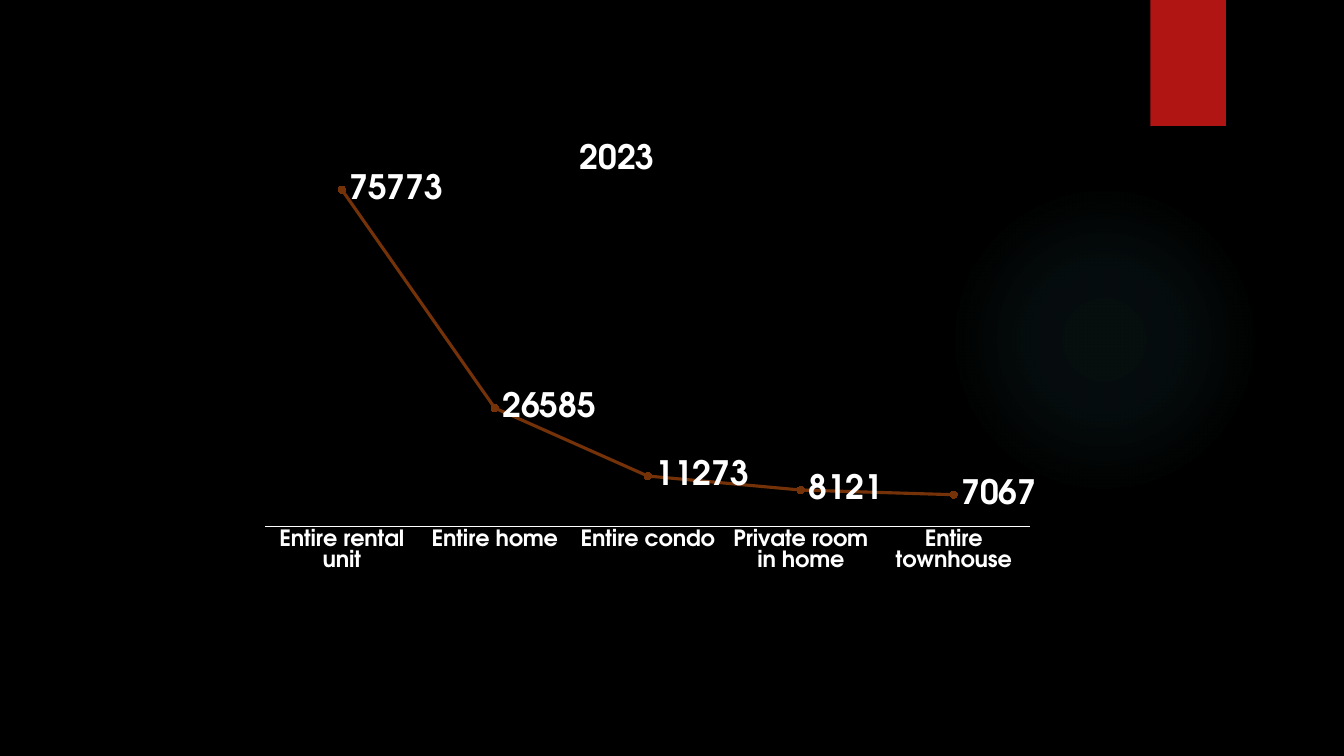
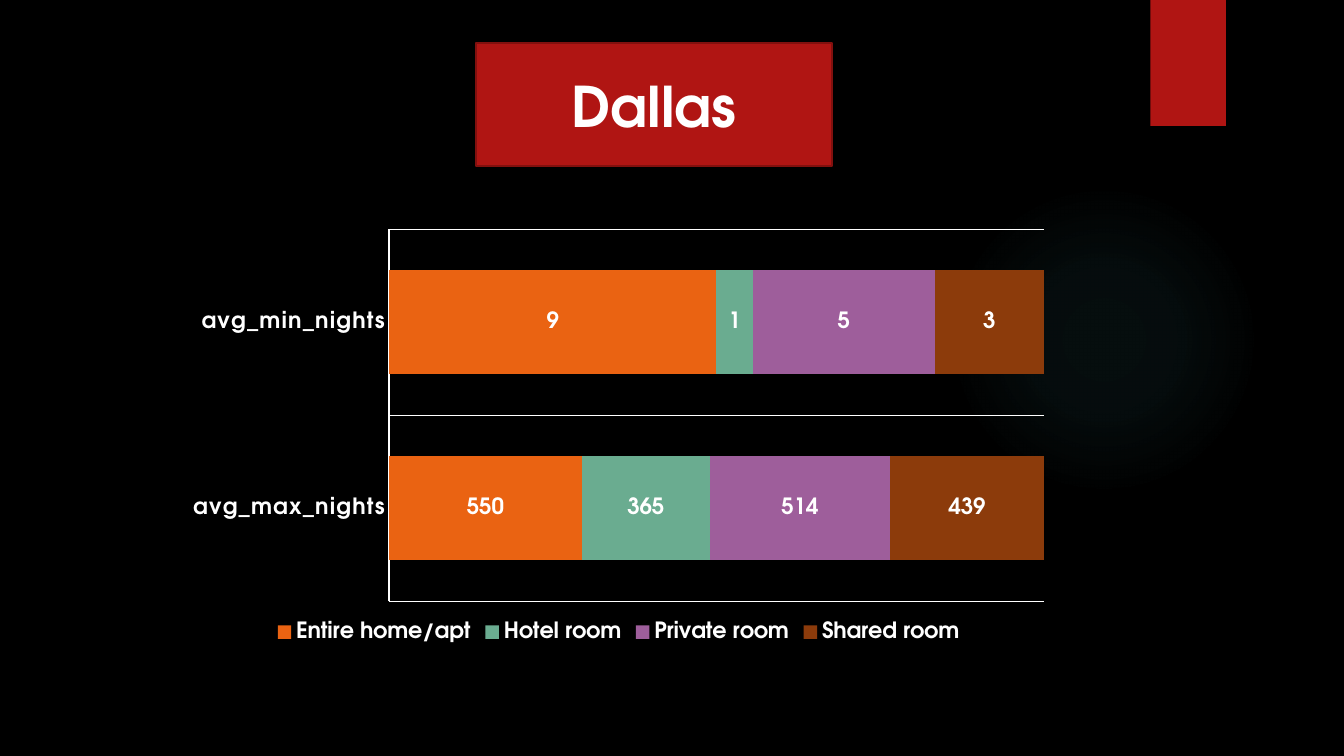
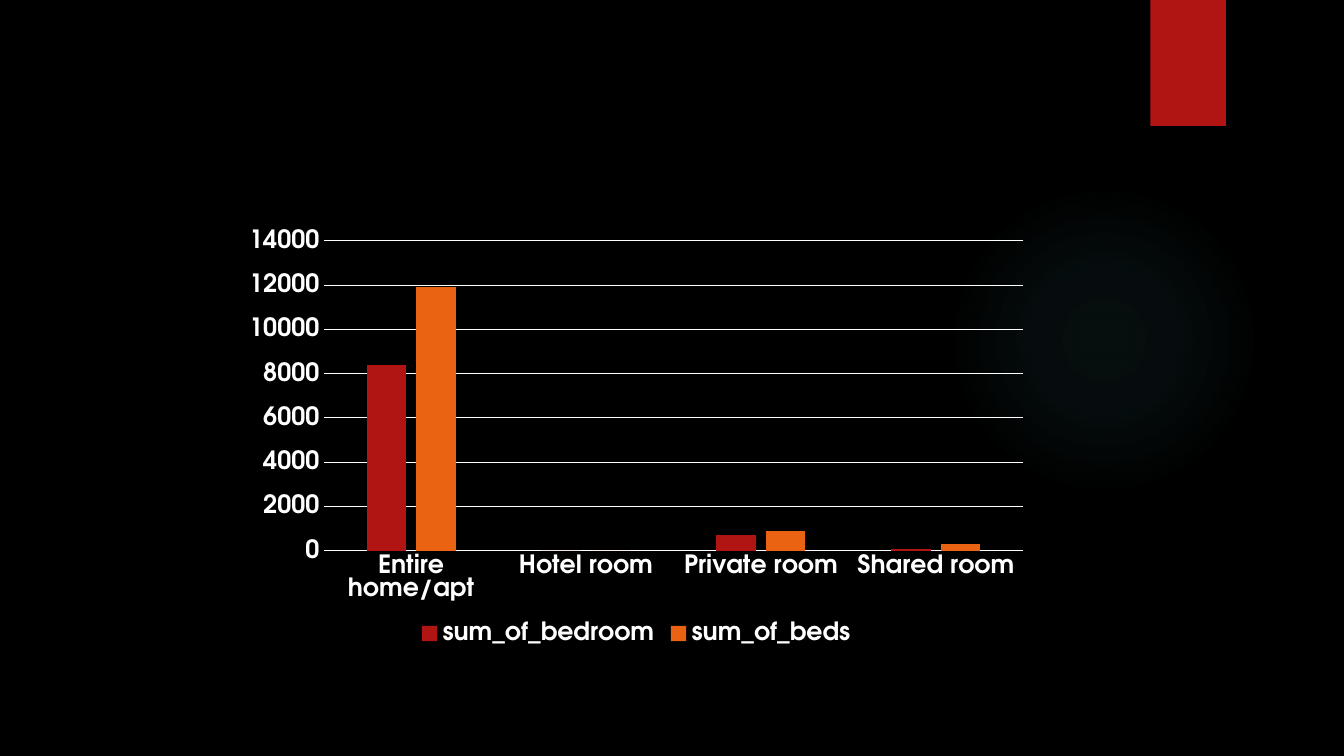
from pptx import Presentation
from pptx import util as u
from pptx.chart.data import CategoryChartData
from pptx.dml.color import RGBColor
from pptx.enum import chart as ch, shapes, text
from pptx.oxml import parse_xml
from pptx.oxml.ns import nsdecls, qn

FONT = "TeX Gyre Adventor"
COLORS = {
    "background": "000000",
    "text": "FFFFFF",
    "red": "B01513",
    "dark_red": "82100E",
    "orange": "EA6312",
    "green": "6AAC90",
    "purple": "9E5E9B",
    "brown": "8C3B0B",
    "dark_brown": "753209",
    "glow": "50B9C1",
}
TITLE_ONLY, BLANK = 5, 6


def rgb(name):
    return RGBColor.from_string(COLORS[name])


def set_fill(fill, name):
    fill.solid()
    fill.fore_color.rgb = rgb(name)


def set_line(line, name, width):
    set_fill(line.fill, name)
    line.width = u.Pt(width)


def set_font(font, size):
    font.name = FONT
    font.size = u.Pt(size)
    font.bold = True
    font.color.rgb = rgb("text")


def inches(box):
    return [u.Inches(length) for length in box]


def add_plain_shape(slide, preset, box):
    shape = slide.shapes.add_shape(preset, *inches(box))
    shape.shadow.inherit = False
    shape.line.fill.background()
    return shape


def add_glow(slide, box):
    glow = add_plain_shape(slide, shapes.MSO_SHAPE.OVAL, box)
    glow.fill.background()
    stops = "".join(
        f'<a:gs pos="{position * 1000}"><a:srgbClr val="{COLORS["glow"]}">'
        f'<a:alpha val="{alpha * 1000}"/></a:srgbClr></a:gs>'
        for position, alpha in ((0, 7), (36, 6), (69, 0))
    )
    gradient = parse_xml(
        f'<a:gradFill {nsdecls("a")}><a:gsLst>{stops}</a:gsLst><a:path path="circle">'
        '<a:fillToRect l="50000" t="50000" r="50000" b="50000"/></a:path></a:gradFill>'
    )
    properties = glow.element.spPr
    properties.replace(properties.find(qn("a:noFill")), gradient)
    return glow


def add_ribbon(slide, box):
    ribbon = add_plain_shape(slide, shapes.MSO_SHAPE.RECTANGLE, box)
    set_fill(ribbon.fill, "red")
    ribbon.element.spPr.find(qn("a:effectLst")).append(parse_xml(
        f'<a:outerShdw {nsdecls("a")} blurRad="{u.Pt(3)}" dist="{u.Pt(2)}" dir="5400000">'
        '<a:srgbClr val="000000"><a:alpha val="45000"/></a:srgbClr></a:outerShdw>'
    ))
    return ribbon


def decorate_master(presentation, slide):
    master = presentation.slide_master
    set_fill(master.background.fill, "background")
    decorations = (
        add_glow(slide, (9.41, 1.83, 3.08, 3.08)),
        add_ribbon(slide, (11.41, 0, 0.75, 1.25)),
    )
    for position, shape in enumerate(decorations, start=2):
        master.element.cSld.spTree.insert(position, shape.element)


def add_title(slide, box, wording):
    title = slide.shapes.title
    title.left, title.top, title.width, title.height = inches(box)
    set_fill(title.fill, "red")
    set_line(title.line, "dark_red", 1.5)
    frame = title.text_frame
    frame.text = wording
    frame.vertical_anchor = text.MSO_ANCHOR.MIDDLE
    paragraph = frame.paragraphs[0]
    paragraph.alignment = text.PP_ALIGN.CENTER
    set_font(paragraph.font, 40)


def add_chart(slide, box, kind, categories, series, size):
    data = CategoryChartData()
    data.categories = categories
    for name, values, _ in series:
        data.add_series(name, values)
    chart = slide.shapes.add_chart(kind, *inches(box), data).chart
    set_font(chart.font, size)
    chart.has_title = False
    chart.has_legend = False
    chart.plots[0].vary_by_categories = False
    category_axis, value_axis = chart.category_axis, chart.value_axis
    for axis in (category_axis, value_axis):
        axis.has_major_gridlines = False
        axis.major_tick_mark = axis.minor_tick_mark = ch.XL_TICK_MARK.NONE
        set_font(axis.tick_labels.font, size)
    set_line(category_axis.format.line, "text", 0.75)
    value_axis.format.line.fill.background()
    return chart


def add_bar_chart(slide, box, kind, categories, series, size, gap, overlap):
    chart = add_chart(slide, box, kind, categories, series, size)
    plot = chart.plots[0]
    plot.gap_width, plot.overlap = gap, overlap
    for bars, (_, _, color) in zip(plot.series, series):
        set_fill(bars.format.fill, color)
    chart.has_legend = True
    chart.legend.position = ch.XL_LEGEND_POSITION.BOTTOM
    chart.legend.include_in_layout = False
    set_font(chart.legend.font, size)
    return chart


def show_gridlines(axis):
    axis.has_major_gridlines = True
    set_line(axis.major_gridlines.format.line, "text", 0.75)


def show_values(labels, size, position):
    labels.show_value = True
    labels.position = position
    set_font(labels.font, size)


def set_plot_box(chart, box):
    plot_area = chart.element.chart.plotArea
    for layout in plot_area.findall(qn("c:layout")):
        plot_area.remove(layout)
    sizes = "".join(f'<c:{side} val="{share}"/>' for side, share in zip("xywh", box))
    plot_area.insert(0, parse_xml(
        f'<c:layout {nsdecls("c")}><c:manualLayout><c:layoutTarget val="inner"/>'
        f'<c:xMode val="edge"/><c:yMode val="edge"/>{sizes}</c:manualLayout></c:layout>'
    ))


def add_listing_types(slide, box):
    categories = ["Entire rental unit", "Entire home", "Entire condo",
                  "Private room in home", "Entire townhouse"]
    series = [("Series 1", (75773, 26585, 11273, 8121, 7067), "dark_brown")]
    chart = add_chart(slide, box, ch.XL_CHART_TYPE.LINE_MARKERS, categories, series, 16)
    chart.has_title = True
    title = chart.chart_title.text_frame
    title.text = "2023"
    set_font(title.paragraphs[0].font, 24)
    set_plot_box(chart, (0.1, 0.1, 0.87, 0.67))
    chart.value_axis.minimum_scale, chart.value_axis.maximum_scale = 0, 80000
    chart.value_axis.visible = False
    line = chart.plots[0].series[0]
    line.smooth = False
    set_line(line.format.line, "dark_brown", 2.25)
    line.marker.style = ch.XL_MARKER_STYLE.CIRCLE
    line.marker.size = 5
    set_fill(line.marker.format.fill, "dark_brown")
    set_line(line.marker.format.line, "dark_brown", 0.75)
    show_values(line.data_labels, 24, ch.XL_LABEL_POSITION.RIGHT)


def add_night_limits(slide, box):
    series = [
        ("Entire home/apt", (550, 9), "orange"),
        ("Hotel room", (365, 1), "green"),
        ("Private room", (514, 5), "purple"),
        ("Shared room", (439, 3), "brown"),
    ]
    chart = add_bar_chart(slide, box, ch.XL_CHART_TYPE.BAR_STACKED_100,
                          ["avg_max_nights", "avg_min_nights"], series, 16, 79, 100)
    show_gridlines(chart.category_axis)
    chart.value_axis.visible = False
    for properties in chart.element.xpath("c:chart/c:plotArea/c:catAx/c:txPr//a:defRPr"):
        properties.set("spc", "100")
    for bars in chart.plots[0].series:
        show_values(bars.data_labels, 16, ch.XL_LABEL_POSITION.CENTER)


def add_bed_totals(slide, box):
    categories = ["Entire home/apt", "Hotel room", "Private room", "Shared room"]
    series = [
        ("sum_of_bedroom", (8400, 0, 700, 100), "red"),
        ("sum_of_beds", (11900, 0, 900, 300), "orange"),
    ]
    chart = add_bar_chart(slide, box, ch.XL_CHART_TYPE.COLUMN_CLUSTERED,
                          categories, series, 18, 219, -27)
    axis = chart.value_axis
    show_gridlines(axis)
    axis.minimum_scale, axis.maximum_scale, axis.major_unit = 0, 14000, 2000


def main():
    presentation = Presentation()
    presentation.slide_width, presentation.slide_height = inches((13.33, 7.5))
    types_slide, nights_slide, beds_slide = [
        presentation.slides.add_slide(presentation.slide_layouts[layout])
        for layout in (BLANK, TITLE_ONLY, BLANK)
    ]
    decorate_master(presentation, types_slide)
    add_listing_types(types_slide, (1.76, 1.17, 8.72, 5.26))
    add_title(nights_slide, (4.72, 0.43, 3.53, 1.22), "Dallas")
    add_night_limits(nights_slide, (1.74, 2.19, 8.79, 4.23))
    add_bed_totals(beds_slide, (2.31, 2.19, 8, 4.26))
    presentation.save("out.pptx")


if __name__ == "__main__":
    main()
